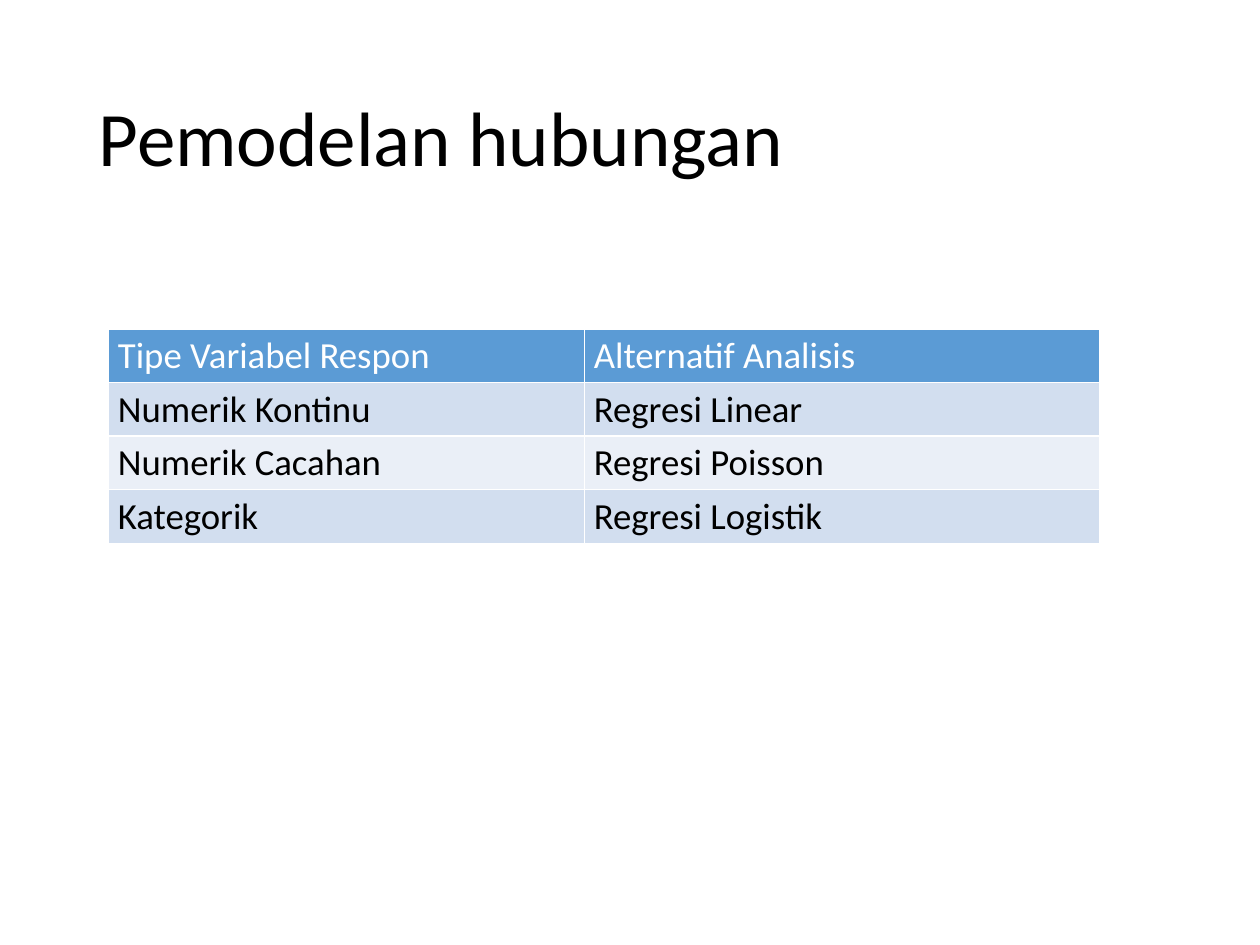
from typing import NamedTuple

from lxml import etree
from pptx import Presentation
from pptx import util as u
from pptx.dml import color
from pptx.enum import text
from pptx.oxml import ns

FONT = "Calibri"
BLACK = "000000"
WHITE = "FFFFFF"
BORDER_SIDES = ("lnL", "lnR", "lnT", "lnB")


class RowSpec(NamedTuple):
    response: str
    analysis: str
    fill: str
    ink: str = BLACK


ROWS = (
    RowSpec("Tipe Variabel Respon", "Alternatif Analisis", "5B9BD5", WHITE),
    RowSpec("Numerik Kontinu", "Regresi Linear", "D2DEEF"),
    RowSpec("Numerik Cacahan", "Regresi Poisson", "EAEFF7"),
    RowSpec("Kategorik", "Regresi Logistik", "D2DEEF"),
)
COLUMN_WIDTHS = (272, 294.6)
ROW_HEIGHT = 30.6


def set_color(target, value: str) -> None:
    target.rgb = color.RGBColor.from_string(value)


def write_text(frame, content: str, size: float, ink: str) -> None:
    frame.text = content
    for para in frame.paragraphs:
        for span in para.runs:
            span.font.name = FONT
            span.font.size = u.Pt(size)
            span.font.bold = False
            set_color(span.font.color, ink)


def add_borders(cell, ink: str, width: float) -> None:
    properties = cell._tc.get_or_add_tcPr()
    for index, side in enumerate(BORDER_SIDES):
        line = etree.Element(ns.qn(f"a:{side}"), w=str(u.Pt(width)))
        fill = etree.SubElement(line, ns.qn("a:solidFill"))
        etree.SubElement(fill, ns.qn("a:srgbClr"), val=ink)
        properties.insert(index, line)


def style_cell(cell, content: str, row: RowSpec) -> None:
    cell.margin_left = cell.margin_right = u.Pt(5.4)
    cell.margin_top = cell.margin_bottom = u.Pt(2.7)
    cell.fill.solid()
    set_color(cell.fill.fore_color, row.fill)
    write_text(cell.text_frame, content, 21, row.ink)
    add_borders(cell, WHITE, 1)


def add_title(page, content: str) -> None:
    box = page.shapes.add_textbox(u.Pt(49.5), u.Pt(28.8), u.Pt(621), u.Pt(104.4))
    frame = box.text_frame
    frame.word_wrap = True
    frame.vertical_anchor = text.MSO_ANCHOR.MIDDLE
    write_text(frame, content, 44, BLACK)
    frame.paragraphs[0].line_spacing = 0.9


def add_analysis_table(page) -> None:
    table = page.shapes.add_table(
        len(ROWS), len(COLUMN_WIDTHS), u.Pt(62), u.Pt(188),
        u.Pt(sum(COLUMN_WIDTHS)), u.Pt(ROW_HEIGHT * len(ROWS)),
    ).table
    for column, width in zip(table.columns, COLUMN_WIDTHS):
        column.width = u.Pt(width)
    for table_row, row in zip(table.rows, ROWS):
        table_row.height = u.Pt(ROW_HEIGHT)
        for cell, content in zip(table_row.cells, (row.response, row.analysis)):
            style_cell(cell, content, row)


def main() -> None:
    deck = Presentation()
    deck.slide_width, deck.slide_height = u.Pt(720), u.Pt(540)
    page = deck.slides.add_slide(deck.slide_layouts[6])
    add_title(page, "Pemodelan hubungan")
    add_analysis_table(page)
    deck.save("out.pptx")


if __name__ == "__main__":
    main()
